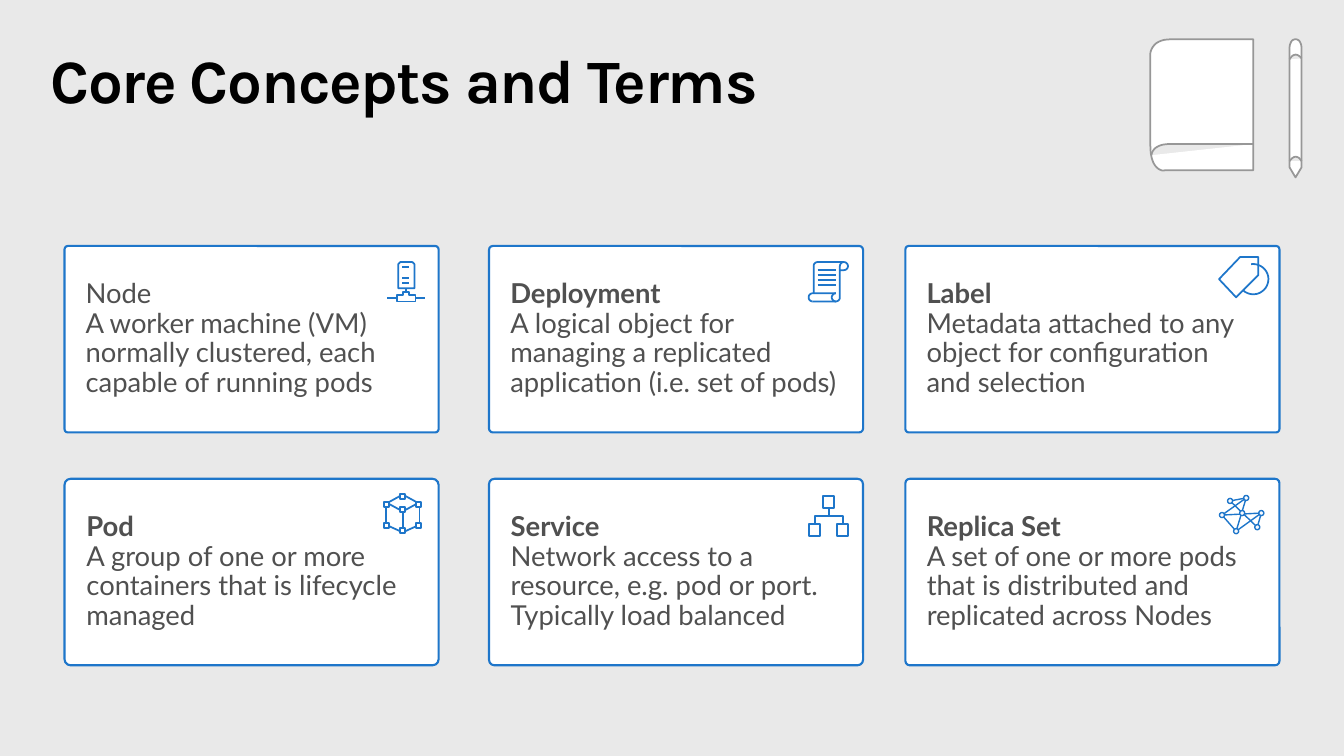
from math import cos, radians, sin

from pptx import Presentation
from pptx import util as u
from pptx.dml.color import RGBColor
from pptx.enum import shapes, text
from pptx.oxml import parse_xml
from pptx.oxml.ns import nsdecls

# The slide is a grid of 1333 columns by 750 rows; a cell is 0.01 inch
CELL = 9144
COLUMNS, ROWS = 1333, 750
CARD_LEFTS, CARD_TOPS = (64, 485, 898), (244, 475)
CARD_WIDTH, CARD_HEIGHT = 371, 185
BLUE, GRAY, WHITE = "1E76CA", "979797", "FFFFFF"
TITLE_FONT = {"name": "Karla", "size": u.Pt(44), "bold": True}
BODY_FONT = {"name": "Lato", "size": u.Pt(19.6)}

# column, row, corner, term, bold term, definition
CARDS = [
    (0, 0, 0.018, "Node", False, "A worker machine (VM) normally clustered, each capable of running pods"),
    (0, 1, 0.032, "Pod", True, "A group of one or more containers that is lifecycle managed"),
    (1, 1, 0.029, "Service", True, "Network access to a resource, e.g. pod or port. Typically load balanced"),
    (2, 0, 0.018, "Label", True, "Metadata attached to any object for configuration and selection"),
    (1, 0, 0.021, "Deployment", True, "A logical object for managing a replicated application (i.e. set of pods)"),
    (2, 1, 0.023, "Replica Set", True, "A set of one or more pods that is distributed and replicated across Nodes"),
]


def color(hex_string):
    return RGBColor.from_string(hex_string)


def cells(*counts):
    return [u.Emu(round(count * CELL)) for count in counts]


# Strokes: lists of points in cells
def arc(x, y, radius, start, end, steps=24):
    angles = [radians(start + (end - start) * i / steps) for i in range(steps + 1)]
    return [(x + radius * cos(a), y + radius * sin(a)) for a in angles]


def curve(*controls, steps=16):
    def point(t):
        weights = ((1 - t) ** 3, 3 * t * (1 - t) ** 2, 3 * t * t * (1 - t), t ** 3)
        return tuple(sum(w * c[axis] for w, c in zip(weights, controls)) for axis in (0, 1))
    return [point(i / steps) for i in range(steps + 1)]


def box(x, y, width, height):
    return [(x, y), (x + width, y), (x + width, y + height), (x, y + height), (x, y)]


def rungs(left, right, rows):
    return [[(left, row), (right, row)] for row in rows]


# Elements
def style(shape, fill, line, width):
    shape.shadow.inherit = False
    if fill:
        shape.fill.solid()
        shape.fill.fore_color.rgb = color(fill)
    else:
        shape.fill.background()
    shape.line.color.rgb = color(line)
    shape.line.width = u.Pt(width)


def add_run(paragraph, words, font, hex_string, **extra):
    run = paragraph.add_run()
    run.text = words
    for name, value in {**font, **extra}.items():
        setattr(run.font, name, value)
    run.font.color.rgb = color(hex_string)
    return run


def set_frame(frame, horizontal, vertical, anchor):
    side, end = cells(horizontal, vertical)
    values = {"word_wrap": True, "margin_left": side, "margin_right": side,
              "margin_top": end, "margin_bottom": end, "vertical_anchor": anchor}
    for name, value in values.items():
        setattr(frame, name, value)
    paragraph = frame.paragraphs[0]
    paragraph.alignment = text.PP_ALIGN.LEFT
    paragraph.line_spacing = 0.9
    return paragraph


def add_title(slide, words):
    shape = slide.shapes.add_textbox(*cells(50, 50, 1233, 69))
    paragraph = set_frame(shape.text_frame, 0, 0, text.MSO_ANCHOR.TOP)
    run = add_run(paragraph, words, TITLE_FONT, "000000")
    run.font._element.set("spc", "-100")


def add_card(slide, column, row, corner, term, bold, definition):
    place = cells(CARD_LEFTS[column], CARD_TOPS[row], CARD_WIDTH, CARD_HEIGHT)
    shape = slide.shapes.add_shape(shapes.MSO_SHAPE.ROUNDED_RECTANGLE, *place)
    shape.adjustments[0] = corner
    style(shape, WHITE, BLUE, 1.5)
    paragraph = set_frame(shape.text_frame, 20, 16, text.MSO_ANCHOR.MIDDLE)
    add_run(paragraph, term, BODY_FONT, "505050", bold=bold)
    paragraph.add_line_break()
    add_run(paragraph, definition, BODY_FONT, "505050", bold=False)


def add_drawing(slide, left, top, strokes, fill=None, line=BLUE):
    placed = [[((left + x) * 10, (top + y) * 10) for x, y in stroke] for stroke in strokes]
    builder = slide.shapes.build_freeform(*placed[0][0], scale=CELL / 10)
    for index, stroke in enumerate(placed):
        if index:
            builder.move_to(*stroke[0])
        builder.add_line_segments(stroke[1:], close=stroke[0] == stroke[-1])
    style(builder.convert_to_shape(), fill, line, 1.25)


def add_network(slide, left, top, dots, links):
    group = slide.shapes.add_group_shape()
    spots = [(left + x, top + y) for x, y in dots]
    for start, end in links:
        link = group.shapes.add_connector(
            shapes.MSO_CONNECTOR.STRAIGHT, *cells(*spots[start], *spots[end]))
        link.line.color.rgb = color(BLUE)
        link.line.width = u.Pt(1)
        link._element.spPr.append(parse_xml(f"<a:effectLst {nsdecls('a')}/>"))
    for x, y in spots:
        dot = group.shapes.add_shape(shapes.MSO_SHAPE.OVAL, *cells(x - 2.5, y - 2.5, 5, 5))
        style(dot, "F7F9FD", BLUE, 1)


# Icon outlines
def server():
    foot = [(10, 39), (10, 33), (16, 33), (16, 30), (22, 30), (22, 33), (28, 33), (28, 39), (10, 39)]
    tower = [(27, 26), (27, 2), (25, 0), (13, 0), (11, 2), (11, 26), (27, 26)]
    cables = [[(10, 36), (0, 36)], [(28, 36), (38, 36)], [(19, 30), (19, 26)]]
    return [foot, tower, *cables, *rungs(15, 22, (5, 16, 21))]


def scroll():
    return [arc(27, 35, 4, 270, 90),
            arc(4, 35, 4, 90, 270) + [(27, 31)],
            [(35, 0)] + arc(9, 4, 4, 270, 180) + [(5, 31)],
            [(31, 8)] + arc(35, 4, 4, 90, -180) + arc(27, 35, 4, 0, 90) + [(4, 39)],
            *rungs(9, 27, range(8, 24, 5))]


def tag():
    return [[(39, 18), (17, 40), (0, 22), (21, 0), (39, 0), (39, 18)],
            arc(34, 22, 15, 132, -98)]


def cube():
    corners = [(0, 8), (0, 29), (16, 0), (16, 13), (16, 34), (32, 8), (32, 29)]
    edges = [[(5, 8), (16, 2)], [(21, 2), (32, 8)], [(21, 16), (32, 10)],
             [(5, 10), (16, 16)], [(21, 37), (32, 32)], [(16, 37), (5, 32)]]
    uprights = [[(x, y), (x, y + 16)] for x, y in ((2, 13), (19, 18), (35, 13))]
    return [box(x, y, 5, 5) for x, y in corners] + edges + uprights


def hierarchy():
    boxes = [box(x, y, 11, 12) for x, y in ((0, 28), (28, 28), (14, 0))]
    return boxes + [[(20, 12), (20, 20)], [(34, 28), (34, 20), (6, 20), (6, 28)]]


def book_and_pencil():
    cover = [(102, 0), (102, 130), *curve((14, 130), (14, 131), (0, 131), (0, 106)),
             *curve((0, 14), (0, 14), (1, 0), (20, 0)), (102, 0)]
    fold = [(102, 104), *curve((22, 104), (22, 104), (3, 102), (1, 115))]
    pencil = [(144, 137), (150, 127), *curve((150, 9), (150, 9), (150, 0), (144, 0)),
              *curve((144, 0), (138, 0), (138, 9), (138, 9)), (138, 127), (144, 137)]
    bands = [curve((150, 19), (143, 10), (138, 20), (138, 20)),
             curve((150, 121), (144, 111), (138, 121), (138, 121))]
    return [cover, fold, pencil, *bands]


def main():
    presentation = Presentation()
    presentation.slide_width, presentation.slide_height = cells(COLUMNS, ROWS)
    slide = presentation.slides.add_slide(presentation.slide_layouts[6])
    slide.background.fill.solid()
    slide.background.fill.fore_color.rgb = color("E9E9E9")

    # Title and cards
    add_title(slide, "Core Concepts and Terms")
    for card in CARDS:
        add_card(slide, *card)

    # Icons
    for left, top, outline in ((802, 492, hierarchy), (1209, 255, tag), (381, 490, cube),
                               (802, 260, scroll), (384, 260, server)):
        add_drawing(slide, left, top, outline())
    add_network(slide, 1209, 490,
                dots=[(11, 7), (27, 4), (23, 19), (42, 19), (17, 37), (38, 33), (3, 21)],
                links=[(0, 5), (3, 5), (6, 3), (4, 6), (1, 4), (3, 4), (6, 1), (0, 1)])
    add_drawing(slide, 1141, 39, book_and_pencil(), WHITE, GRAY)

    presentation.save("out.pptx")


if __name__ == "__main__":
    main()
